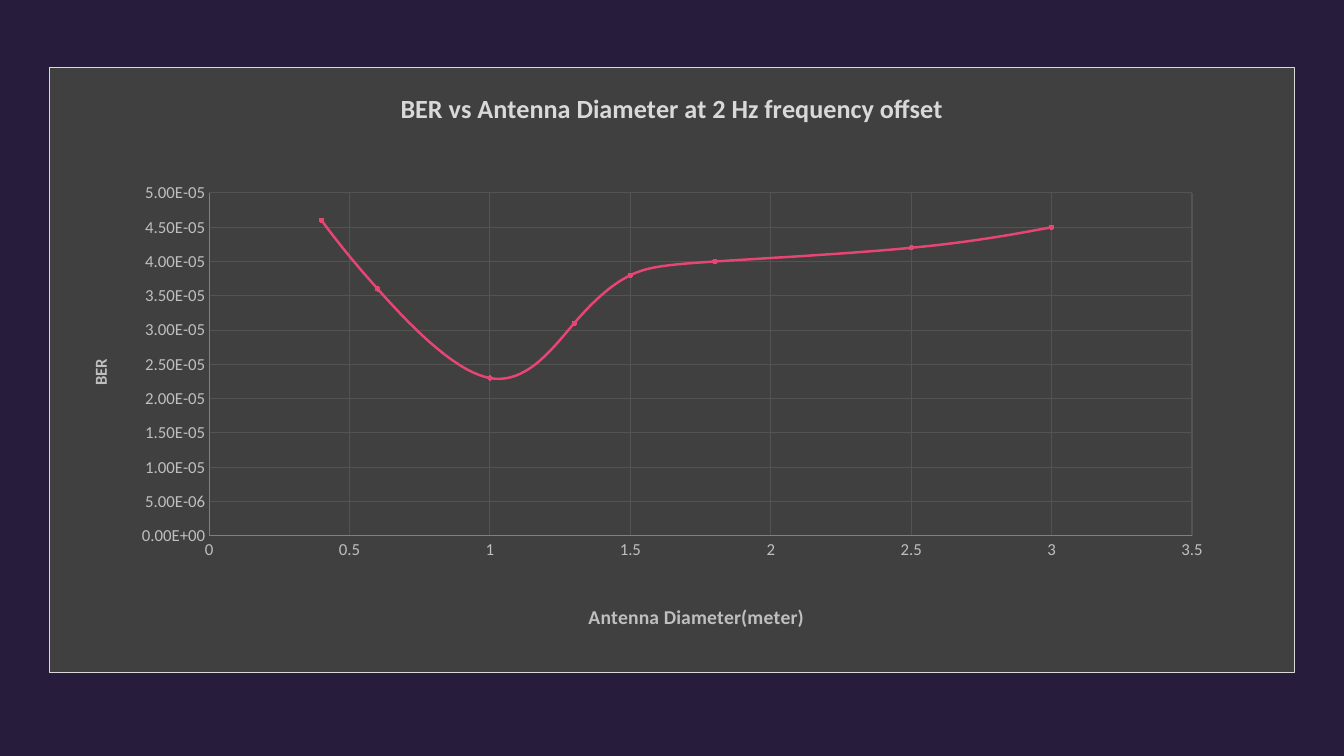
from dataclasses import dataclass

from lxml import etree
from pptx import Presentation
from pptx.chart.data import XyChartData
from pptx.dml.color import RGBColor
from pptx.enum.chart import XL_CHART_TYPE, XL_MARKER_STYLE, XL_TICK_MARK
from pptx.oxml import parse_xml
from pptx.oxml.ns import nsdecls, qn
from pptx.util import Inches, Pt

SMOOTH_SCATTER = XL_CHART_TYPE.XY_SCATTER_SMOOTH
CIRCLE = XL_MARKER_STYLE.CIRCLE
NO_TICKS = XL_TICK_MARK.NONE


@dataclass(frozen=True)
class Theme:
    font: str = "Calibri"
    background: str = "271C3B"
    panel: str = "404040"
    panel_border: str = "D9D9D9"
    heading: str = "D9D9D9"
    label: str = "BFBFBF"
    axis: str = "808080"
    grid: str = "535353"
    curve: str = "E84574"
    heading_size: float = 18.7
    x_title_size: float = 14
    label_size: float = 12
    hairline: float = 0.75
    curve_width: float = 1.75
    marker_size: int = 3


@dataclass(frozen=True)
class AxisSpec:
    title: str
    title_size: float
    title_place: tuple
    maximum: float
    step: float
    number_format: str
    vertical: bool = False


THEME = Theme()
SLIDE_WIDTH, SLIDE_HEIGHT = Inches(13.33), Inches(7.5)

# Shares of the slide: left, top, width, height
PANEL = (0.49 / 13.33, 0.66 / 7.5, 12.35 / 13.33, 6.02 / 7.5)
# Shares of the panel
PLOT = (0.128, 0.208, 0.79, 0.566)
HEADING_PLACE = (0.278, 0.031)

DIAMETER_AXIS = AxisSpec("Antenna Diameter(meter)", THEME.x_title_size,
                         (0.43, 0.88), 3.5, 0.5, "General")
BER_AXIS = AxisSpec("BER", THEME.label_size, (0.029, 0.477),
                    5e-5, 5e-6, "0.00E+00", vertical=True)
BER_BY_DIAMETER = (
    (0.4, 4.6e-5), (0.6, 3.6e-5), (1, 2.3e-5), (1.3, 3.1e-5),
    (1.5, 3.8e-5), (1.8, 4e-5), (2.5, 4.2e-5), (3, 4.5e-5),
)


def rgb(color: str) -> RGBColor:
    return RGBColor.from_string(color)


def style_line(line, color: str, width: float) -> None:
    line.color.rgb = rgb(color)
    line.width = Pt(width)


def style_font(font, *, size: float, color: str, bold: bool = False) -> None:
    font.name = THEME.font
    font.size = Pt(size)
    font.bold = bold
    font.color.rgb = rgb(color)


def build_layout(place: tuple, inner: bool = False):
    """Manual layout from shares of the chart: x, y and optionally w, h."""
    keys = ("x", "y", "w", "h")[:len(place)]
    target = '<c:layoutTarget val="inner"/>' if inner else ""
    modes = "".join(f'<c:{key}Mode val="edge"/>' for key in keys[:2])
    shares = "".join(f'<c:{key} val="{share}"/>' for key, share in zip(keys, place))
    return parse_xml(f'<c:layout {nsdecls("c")}><c:manualLayout>{target}{modes}'
                     f'{shares}</c:manualLayout></c:layout>')


def drop_children(element, tag: str) -> None:
    for child in element.findall(qn(tag)):
        element.remove(child)


def write_title(owner, title, text: str, *, place: tuple, size: float,
                color: str, vertical: bool = False) -> None:
    owner.has_title = True
    frame = title().text_frame
    run = frame.paragraphs[0].add_run()
    run.text = text
    style_font(run.font, size=size, color=color, bold=True)
    if vertical:
        body = frame._txBody.find(qn("a:bodyPr"))
        body.set("rot", "-5400000")
        body.set("vert", "horz")
    element = title()._element
    drop_children(element, "c:layout")
    element.find(qn("c:tx")).addnext(build_layout(place))


def style_axis(axis, spec: AxisSpec) -> None:
    axis.minimum_scale = 0
    axis.maximum_scale = spec.maximum
    axis.major_unit = spec.step
    axis.major_tick_mark = axis.minor_tick_mark = NO_TICKS
    axis.has_major_gridlines = True
    style_line(axis.major_gridlines.format.line, THEME.grid, THEME.hairline)
    style_line(axis.format.line, THEME.axis, THEME.hairline)
    axis.tick_labels.number_format = spec.number_format
    axis.tick_labels.number_format_is_linked = False
    style_font(axis.tick_labels.font, size=THEME.label_size, color=THEME.label)
    write_title(axis, lambda: axis.axis_title, spec.title, place=spec.title_place,
                size=spec.title_size, color=THEME.label, vertical=spec.vertical)


def style_panel(chart) -> None:
    """Fill and border of the chart area, and the place of the plot."""
    panel = parse_xml(
        f'<c:spPr {nsdecls("c", "a")}><a:solidFill><a:srgbClr val="{THEME.panel}"/>'
        f'</a:solidFill><a:ln w="{Pt(THEME.hairline)}"><a:solidFill>'
        f'<a:srgbClr val="{THEME.panel_border}"/></a:solidFill></a:ln></c:spPr>')
    chart_space = chart._chartSpace
    chart_body = chart_space.find(qn("c:chart"))
    chart_body.addnext(panel)
    drop_children(chart_space, "c:roundedCorners")
    chart_body.addprevious(etree.Element(qn("c:roundedCorners"), val="0"))
    plot_area = chart_body.find(qn("c:plotArea"))
    drop_children(plot_area, "c:layout")
    plot_area.insert(0, build_layout(PLOT, inner=True))


def style_curve(curve) -> None:
    # A scatter series takes its smoothing from the XML
    drop_children(curve._element, "c:smooth")
    smoothing = etree.Element(qn("c:smooth"), val="1")
    curve._element.find(qn("c:yVal")).addnext(smoothing)
    style_line(curve.format.line, THEME.curve, THEME.curve_width)
    curve.marker.style = CIRCLE
    curve.marker.size = THEME.marker_size
    curve.marker.format.fill.solid()
    curve.marker.format.fill.fore_color.rgb = rgb(THEME.curve)
    style_line(curve.marker.format.line, THEME.curve, THEME.hairline)


def add_ber_chart(slide) -> None:
    data = XyChartData()
    measurements = data.add_series("Series 1")
    for diameter, ber in BER_BY_DIAMETER:
        measurements.add_data_point(diameter, ber)
    left, top, width, height = (
        round(share * side)
        for share, side in zip(PANEL, (SLIDE_WIDTH, SLIDE_HEIGHT) * 2))
    chart = slide.shapes.add_chart(SMOOTH_SCATTER, left, top, width, height, data).chart
    chart.has_legend = False
    style_font(chart.font, size=THEME.label_size, color=THEME.label)
    style_panel(chart)
    write_title(chart, lambda: chart.chart_title,
                "BER vs Antenna Diameter at 2 Hz frequency offset",
                place=HEADING_PLACE, size=THEME.heading_size, color=THEME.heading)
    style_axis(chart.category_axis, DIAMETER_AXIS)
    style_axis(chart.value_axis, BER_AXIS)
    chart.plots[0].vary_by_categories = False
    style_curve(chart.plots[0].series[0])


def main() -> None:
    deck = Presentation()
    deck.slide_width, deck.slide_height = SLIDE_WIDTH, SLIDE_HEIGHT
    slide = deck.slides.add_slide(deck.slide_layouts[6])

    # Background
    slide.background.fill.solid()
    slide.background.fill.fore_color.rgb = rgb(THEME.background)

    # Bit error rate chart
    add_ber_chart(slide)
    deck.save("out.pptx")


if __name__ == "__main__":
    main()
